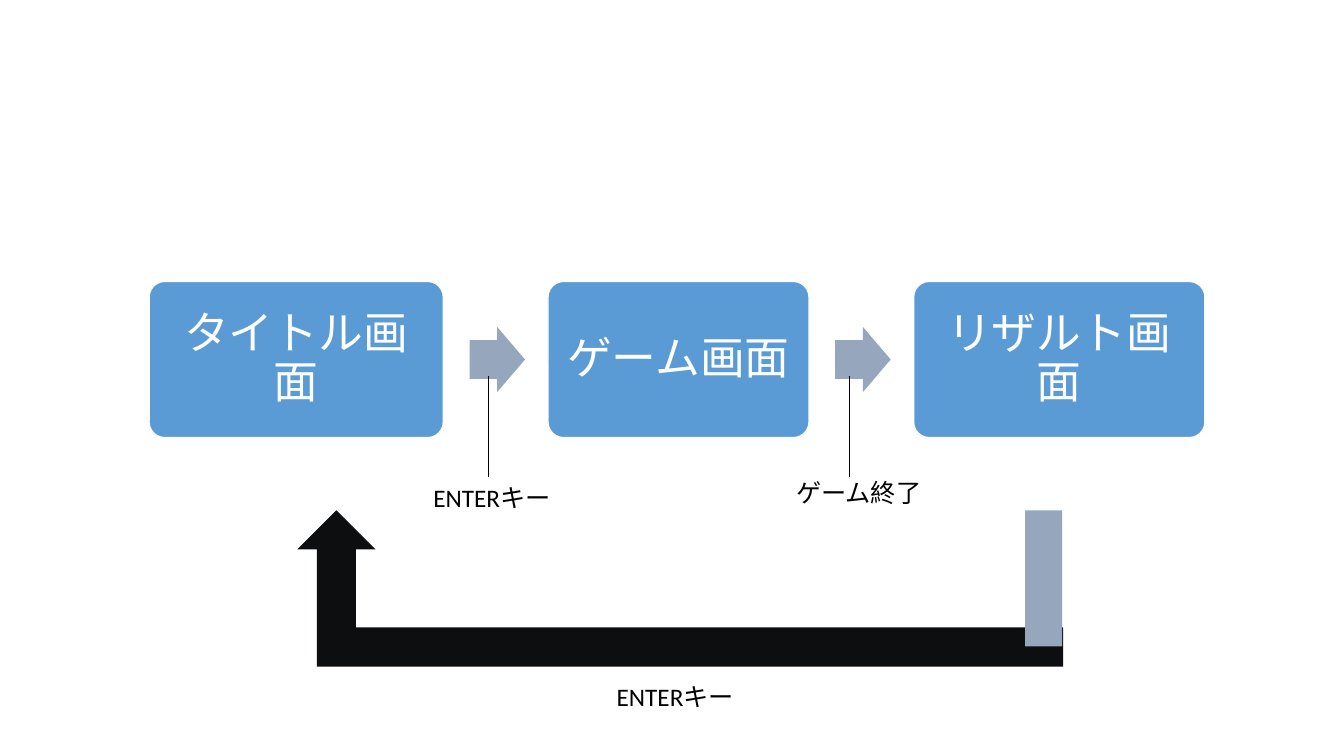
"""Build a slide showing the screen flow of a game."""
from pptx import Presentation
from pptx.dml.color import RGBColor
from pptx.enum.shapes import MSO_CONNECTOR, MSO_SHAPE
from pptx.enum.text import MSO_ANCHOR, MSO_AUTO_SIZE, PP_ALIGN
from pptx.oxml.ns import qn
from pptx.util import Pt
from lxml import etree

STRAIGHT = MSO_CONNECTOR.STRAIGHT
ROUNDED, RECTANGLE = MSO_SHAPE.ROUNDED_RECTANGLE, MSO_SHAPE.RECTANGLE
RIGHT_ARROW, BENT_ARROW = MSO_SHAPE.RIGHT_ARROW, MSO_SHAPE.BENT_UP_ARROW
LEFT, CENTER = PP_ALIGN.LEFT, PP_ALIGN.CENTER
TOP, MIDDLE = MSO_ANCHOR.TOP, MSO_ANCHOR.MIDDLE
FIT_SHAPE = MSO_AUTO_SIZE.SHAPE_TO_FIT_TEXT

BLUE = RGBColor(0x5B, 0x9B, 0xD5)
GREY = RGBColor(0x96, 0xA7, 0xBD)
INK = RGBColor(0x0D, 0x0E, 0x10)
WHITE = RGBColor(0xFF, 0xFF, 0xFF)
BLACK = RGBColor(0x00, 0x00, 0x00)

FONT = "Calibri"
SCREENS = [("タイトル画面", 210.2), ("ゲーム画面", 186.5), ("リザルト画面", 208.1)]
FLOW_LEFT, FLOW_TOP, SCREEN_HEIGHT = 106.5, 201, 111.6
SCREEN_GAP, ARROW_OFFSET = 74.7, 18.7
ARROW_WIDTH, ARROW_HEIGHT = 39.6, 46.4
POINTER_XS = [348.5, 607]
LABELS = [("ENTERキー", 302.4, 340.6), ("ゲーム終了", 561.6, 337.7),
          ("ENTERキー", 433.4, 483.1)]


def write_text(shape, text, size, color, align=LEFT, anchor=TOP, spacing=1.0):
    """Write one formatted paragraph into a shape."""
    frame = shape.text_frame
    frame.word_wrap = True
    frame.vertical_anchor = anchor
    para = frame.paragraphs[0]
    para.alignment = align
    para.line_spacing = spacing
    span = para.add_run()
    span.text = text
    span.font.name = FONT
    span.font.size = Pt(size)
    span.font.color.rgb = color


def add_block(page, kind, left, top, width, height, fill, adjustments=()):
    """Add a flat filled preset shape without an outline."""
    block = page.shapes.add_shape(kind, Pt(left), Pt(top), Pt(width), Pt(height))
    block.shadow.inherit = False
    block.fill.solid()
    block.fill.fore_color.rgb = fill
    block.line.fill.background()
    for index, value in enumerate(adjustments):
        block.adjustments[index] = value
    return block


def add_screen(page, text, left, width):
    """Add a rounded box for one game screen."""
    box = add_block(page, ROUNDED, left, FLOW_TOP, width, SCREEN_HEIGHT, BLUE, [0.1])
    box.line.color.rgb = WHITE
    box.line.width = Pt(1)
    frame = box.text_frame
    frame.margin_left = frame.margin_right = Pt(9)
    frame.margin_top = frame.margin_bottom = Pt(9)
    write_text(box, text, 32, WHITE, align=CENTER, anchor=MIDDLE, spacing=0.9)


def add_pointer(page, x):
    """Add a thin vertical line from a flow arrow to its label."""
    pointer = page.shapes.add_connector(STRAIGHT, Pt(x), Pt(268.6), Pt(x), Pt(340.6))
    pointer.line.color.rgb = BLACK
    pointer.line.width = Pt(0.5)
    etree.SubElement(pointer._element.spPr, qn("a:effectLst"))


def add_label(page, text, left, top):
    """Add a label naming what triggers a transition."""
    box = page.shapes.add_textbox(Pt(left), Pt(top), Pt(104.4), Pt(29.1))
    write_text(box, text, 18, BLACK)
    box.text_frame.auto_size = FIT_SHAPE


def add_flow(page):
    """Add the row of screens joined by block arrows."""
    left = FLOW_LEFT
    arrow_top = FLOW_TOP + (SCREEN_HEIGHT - ARROW_HEIGHT) / 2
    for index, (text, width) in enumerate(SCREENS):
        add_screen(page, text, left, width)
        left += width
        if index < len(SCREENS) - 1:
            add_block(page, RIGHT_ARROW, left + ARROW_OFFSET, arrow_top,
                      ARROW_WIDTH, ARROW_HEIGHT, GREY, [0.6, 0.5])
        left += SCREEN_GAP


def add_return_path(page):
    """Add the bent arrow leading back to the first screen."""
    arrow = add_block(page, BENT_ARROW, 212.4, 364.5, 547, 111.6, INK)
    arrow._element.spPr.xfrm.set("flipH", "1")
    add_block(page, RECTANGLE, 732.2, 364.5, 26.6, 97.2, GREY)


def main():
    """Build and save the deck."""
    deck = Presentation()
    deck.slide_width, deck.slide_height = Pt(960), Pt(540)
    page = deck.slides.add_slide(deck.slide_layouts[6])
    add_flow(page)
    add_return_path(page)
    for x in POINTER_XS:
        add_pointer(page, x)
    for text, left, top in LABELS:
        add_label(page, text, left, top)
    deck.save("out.pptx")


if __name__ == "__main__":
    main()
